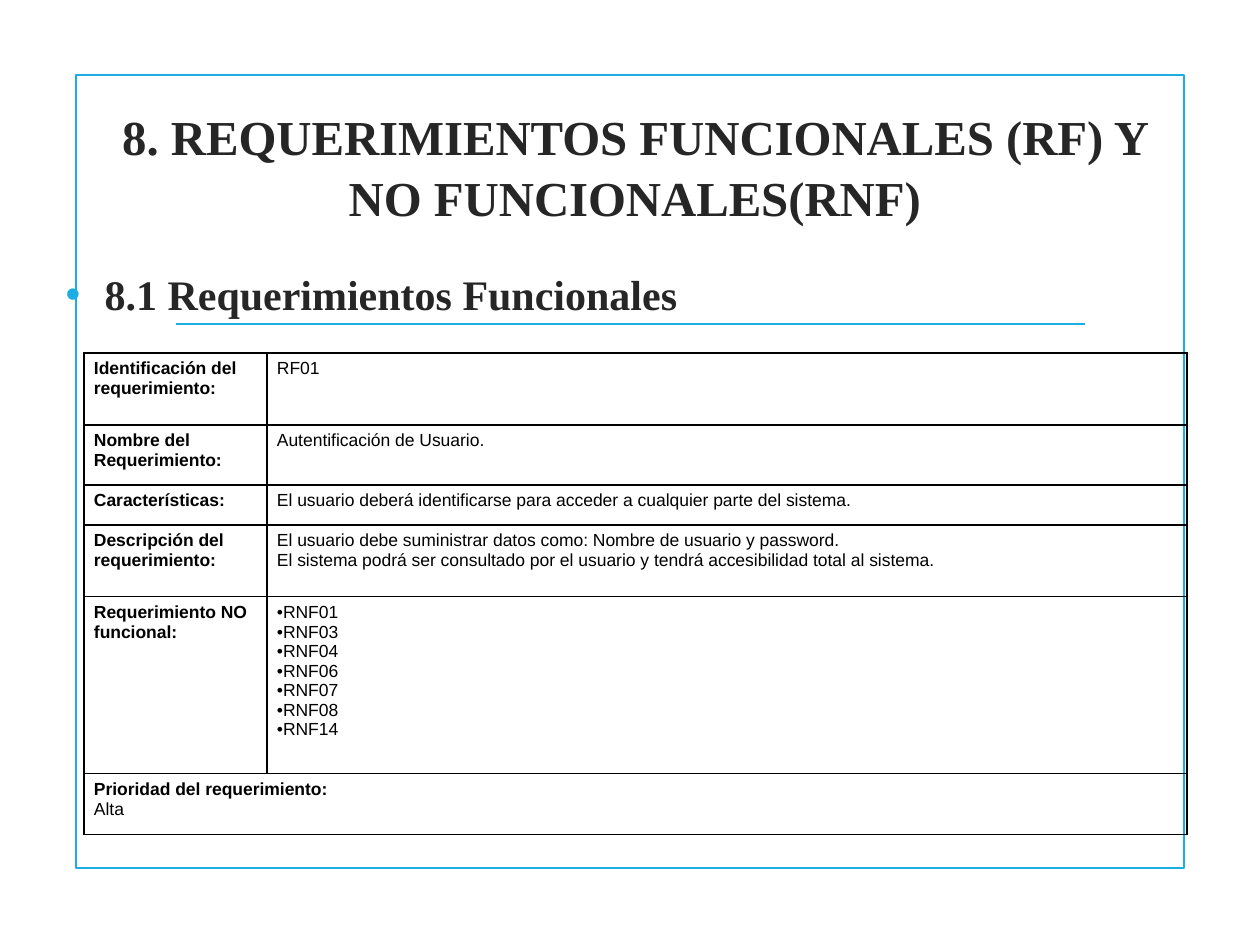
from dataclasses import dataclass

from lxml import etree
from pptx import Presentation
from pptx import util as u
from pptx.dml.color import RGBColor
from pptx.enum import shapes, text
from pptx.oxml.ns import qn

PX_PER_INCH = 126
ACCENT, INK, BLACK = "1CADE4", "262626", "000000"
HEADING_FONT, TABLE_FONT = "Times New Roman", "Arial"
COLUMN_WIDTHS = (183, 920)
CELL_MARGIN_X, CELL_MARGIN_Y = 10, 6


@dataclass
class Requirement:
    label: str
    values: tuple[str, ...]
    height: int
    bulleted: bool = False
    full_width: bool = False


REQUIREMENTS = (
    Requirement("Identificación del requerimiento:", ("RF01",), 72),
    Requirement("Nombre del Requerimiento:", ("Autentificación de Usuario.",), 60),
    Requirement(
        "Características:",
        ("El usuario deberá identificarse para acceder a cualquier parte del sistema.",),
        40,
    ),
    Requirement(
        "Descripción del requerimiento:",
        (
            "El usuario debe suministrar datos como: Nombre de usuario y password.",
            "El sistema podrá ser consultado por el usuario y tendrá accesibilidad total al sistema.",
        ),
        72,
    ),
    Requirement(
        "Requerimiento NO funcional:",
        tuple(f"RNF{number:02}" for number in (1, 3, 4, 6, 7, 8, 14)),
        177,
        bulleted=True,
    ),
    Requirement("Prioridad del requerimiento:", ("Alta",), 61, full_width=True),
)


def px(length: int) -> u.Emu:
    return u.Emu(round(length * 914400 / PX_PER_INCH))


def color(value: str) -> RGBColor:
    return RGBColor.from_string(value)


def apply(target, values: dict) -> None:
    for name, value in values.items():
        setattr(target, name, value)


def place(shape, left: int, top: int, width: int, height: int) -> None:
    apply(shape, dict(left=px(left), top=px(top), width=px(width), height=px(height)))


def write(paragraph, content: str, font: str, size: float, ink: str, bold: bool) -> None:
    run = paragraph.add_run()
    run.text = content
    apply(run.font, dict(name=font, size=u.Pt(size), bold=bold))
    run.font.color.rgb = color(ink)


def set_bullet(paragraph, ink: str, margin: int, indent: int) -> None:
    properties = paragraph._p.get_or_add_pPr()
    properties.set("marL", str(px(margin)))
    properties.set("indent", str(px(indent)))
    bullet_color = etree.SubElement(properties, qn("a:buClr"))
    etree.SubElement(bullet_color, qn("a:srgbClr"), val=ink)
    etree.SubElement(properties, qn("a:buFont"), typeface="Arial")
    etree.SubElement(properties, qn("a:buChar"), char="•")


def set_borders(cell, ink: str, width: float) -> None:
    """Draw all four sides; borders must precede the fill in the cell properties."""
    properties = cell._tc.get_or_add_tcPr()
    for position, side in enumerate(("lnL", "lnR", "lnT", "lnB")):
        line = etree.Element(qn(f"a:{side}"), w=str(u.Pt(width)))
        fill = etree.SubElement(line, qn("a:solidFill"))
        etree.SubElement(fill, qn("a:srgbClr"), val=ink)
        properties.insert(position, line)


def add_decoration(slide) -> None:
    frame = slide.shapes.add_shape(shapes.MSO_SHAPE.RECTANGLE, px(76), px(75), px(1108), px(793))
    frame.shadow.inherit = False
    frame.fill.background()
    rule = slide.shapes.add_connector(
        shapes.MSO_CONNECTOR.STRAIGHT, px(176), px(324), px(1085), px(324)
    )
    etree.SubElement(rule._element.spPr, qn("a:effectLst"))
    for shape in (frame, rule):
        shape.line.color.rgb = color(ACCENT)
        shape.line.width = u.Pt(1.25)


def add_headings(slide) -> None:
    title, body = slide.shapes.title, slide.placeholders[1]
    place(title, 84, 100, 1102, 130)
    place(body, 53, 262, 937, 475)
    for shape, anchor in ((title, text.MSO_ANCHOR.MIDDLE), (body, text.MSO_ANCHOR.TOP)):
        apply(
            shape.text_frame,
            dict(word_wrap=True, auto_size=text.MSO_AUTO_SIZE.NONE, vertical_anchor=anchor),
        )
    heading = title.text_frame.paragraphs[0]
    apply(heading, dict(alignment=text.PP_ALIGN.CENTER, line_spacing=1.04))
    write(
        heading,
        "8. REQUERIMIENTOS FUNCIONALES (RF) Y NO FUNCIONALES(RNF)",
        HEADING_FONT, 27.9, INK, True,
    )
    section = body.text_frame.paragraphs[0]
    section.space_before = u.Pt(3)
    set_bullet(section, ACCENT, 39, -39)
    write(section, "8.1 Requerimientos Funcionales", HEADING_FONT, 24, INK, True)


def fill_values(cell, requirement: Requirement) -> None:
    frame = cell.text_frame
    for index, value in enumerate(requirement.values):
        is_first = index == 0 and not requirement.full_width
        paragraph = frame.paragraphs[0] if is_first else frame.add_paragraph()
        if not requirement.full_width:
            paragraph.alignment = text.PP_ALIGN.JUSTIFY
        if requirement.bulleted:
            set_bullet(paragraph, BLACK, 0, -9)
        write(paragraph, value, TABLE_FONT, 10, BLACK, False)


def add_requirements_table(slide, left: int, top: int) -> None:
    height = sum(requirement.height for requirement in REQUIREMENTS)
    table = slide.shapes.add_table(
        len(REQUIREMENTS), len(COLUMN_WIDTHS),
        px(left), px(top), px(sum(COLUMN_WIDTHS)), px(height),
    ).table
    apply(table, dict(first_row=False, horz_banding=False))
    for column, width in zip(table.columns, COLUMN_WIDTHS):
        column.width = px(width)
    for row, requirement in zip(table.rows, REQUIREMENTS):
        row.height = px(requirement.height)
        label, value = row.cells
        for cell in (label, value):
            apply(
                cell,
                dict(
                    margin_left=px(CELL_MARGIN_X), margin_right=px(CELL_MARGIN_X),
                    margin_top=px(CELL_MARGIN_Y), margin_bottom=px(CELL_MARGIN_Y),
                ),
            )
            cell.fill.background()
            set_borders(cell, BLACK, 0.75)
        if requirement.full_width:
            label.merge(value)
        write(label.text_frame.paragraphs[0], requirement.label, TABLE_FONT, 10, BLACK, True)
        fill_values(label if requirement.full_width else value, requirement)


def main() -> None:
    presentation = Presentation()
    apply(presentation, dict(slide_width=px(1260), slide_height=px(945)))
    slide = presentation.slides.add_slide(presentation.slide_layouts[1])
    add_decoration(slide)
    add_headings(slide)
    add_requirements_table(slide, 84, 353)
    presentation.save("out.pptx")


if __name__ == "__main__":
    main()
